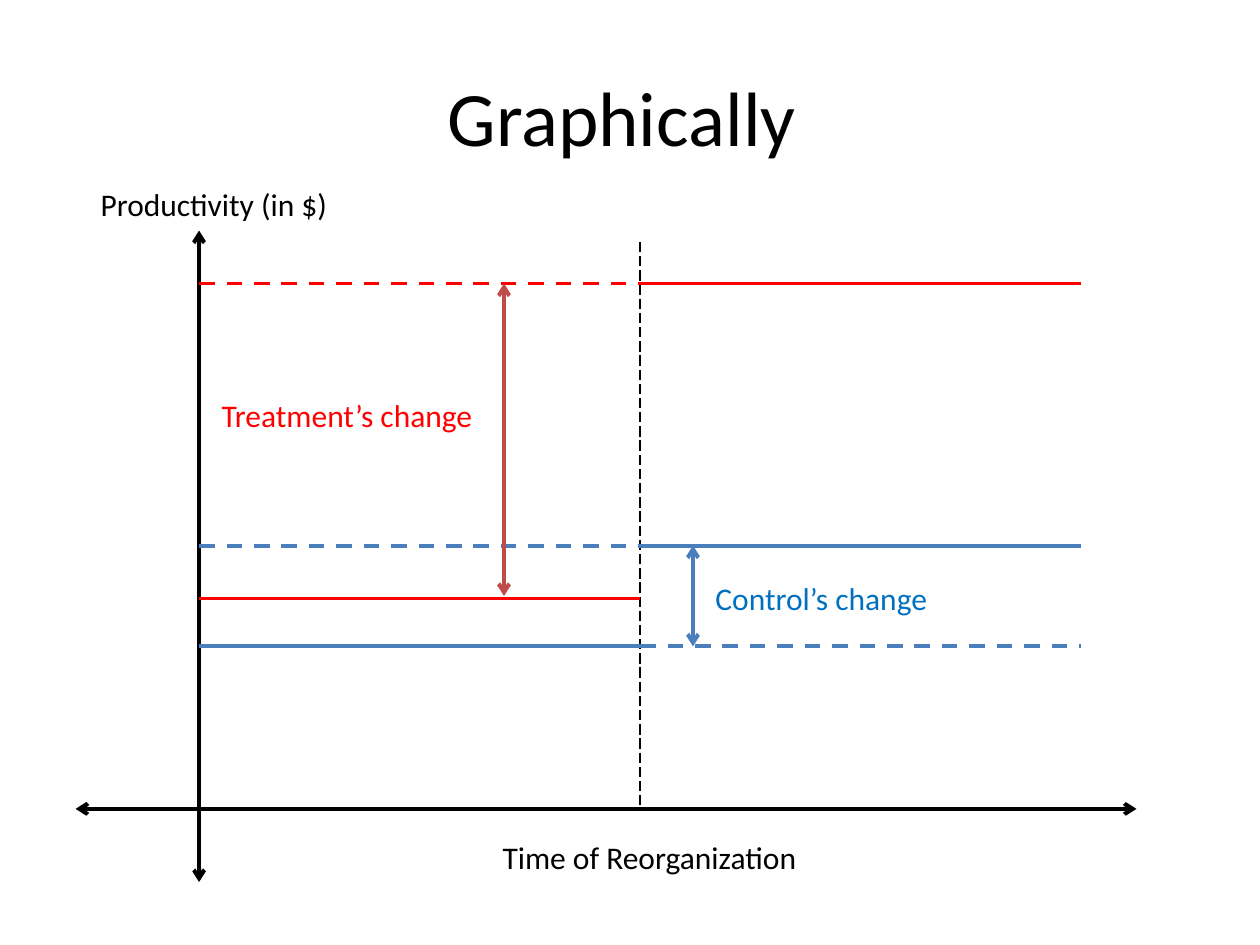
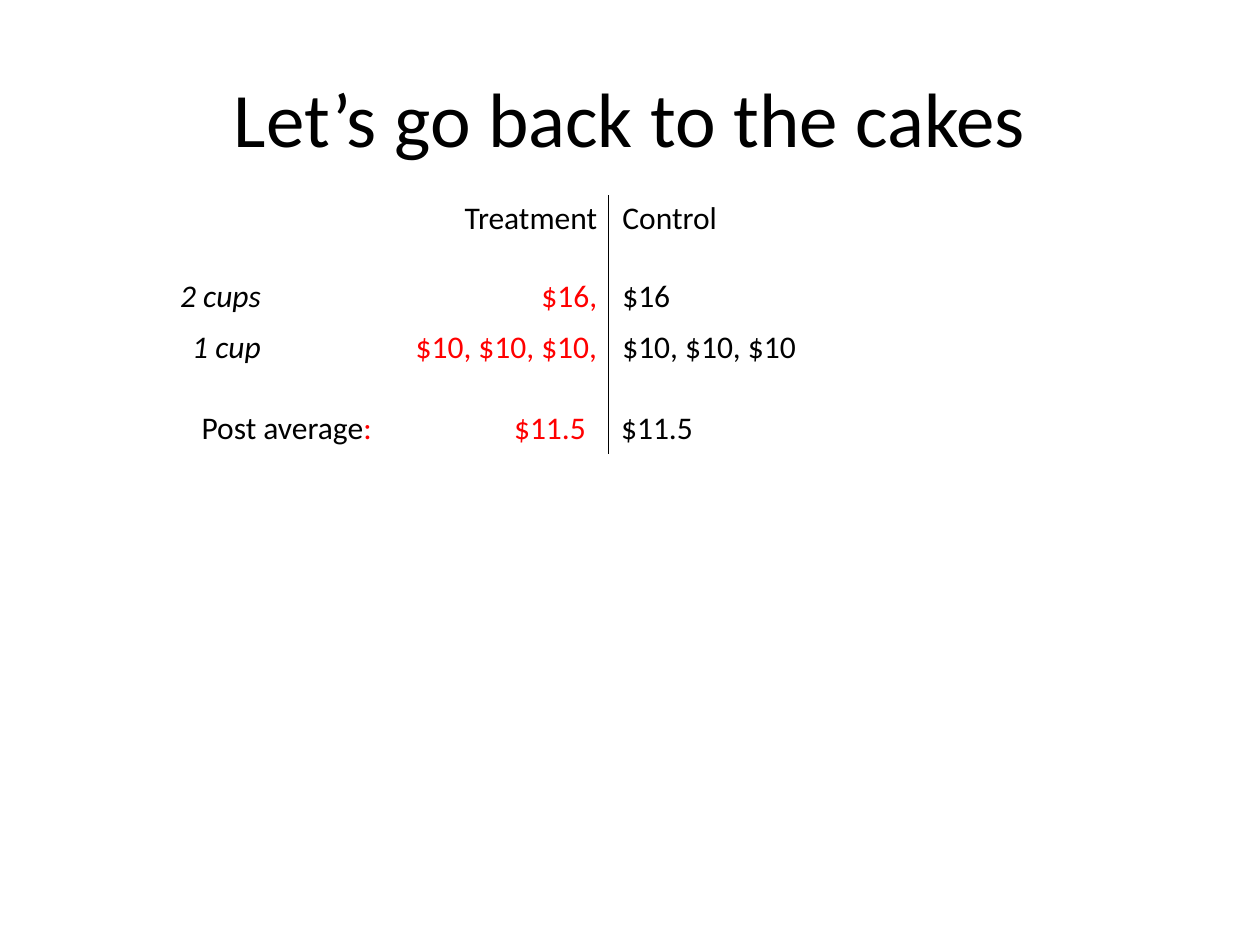
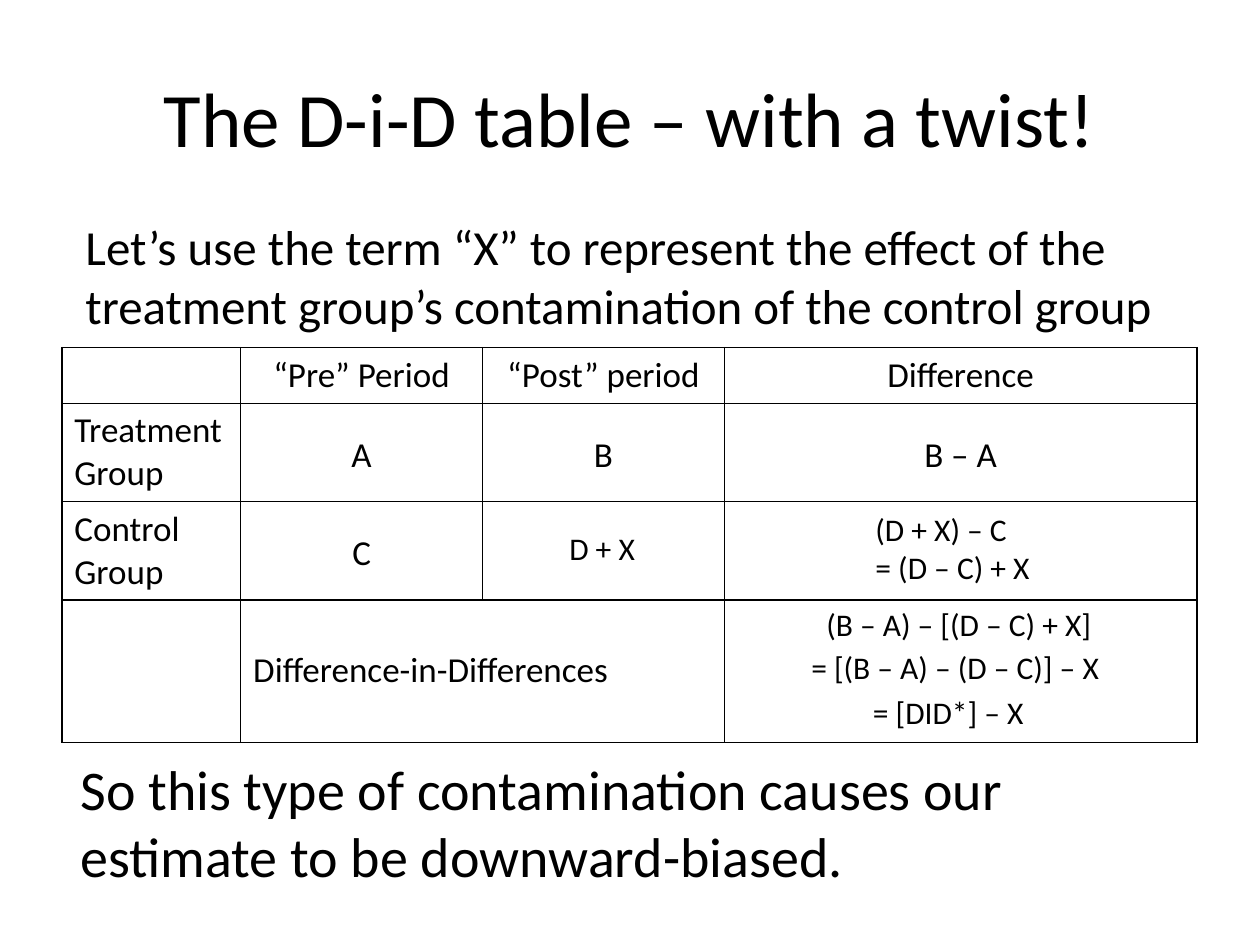
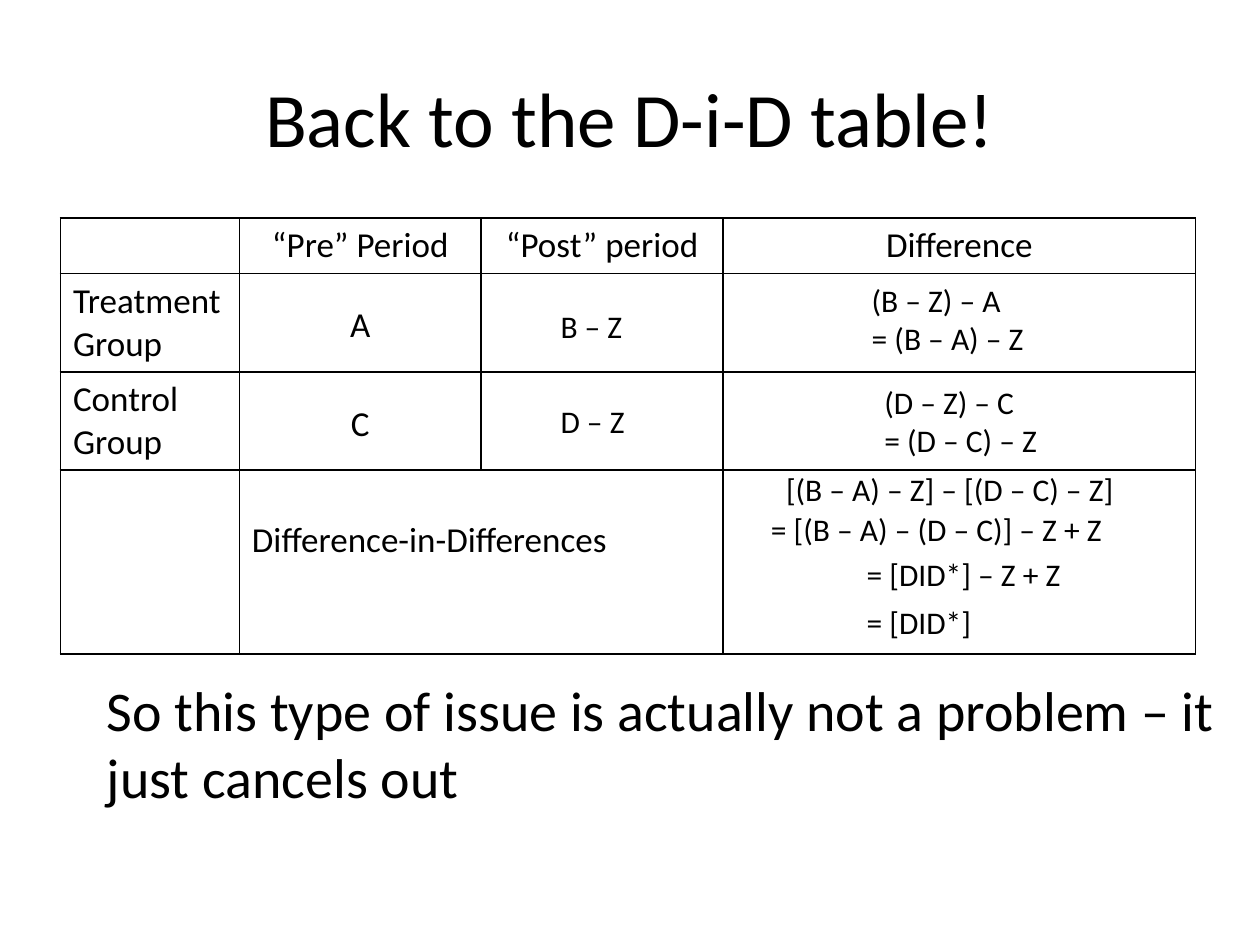
from lxml import etree
from pptx import Presentation
from pptx.dml.color import RGBColor
from pptx.enum.dml import MSO_LINE
from pptx.enum.shapes import MSO_CONNECTOR
from pptx.enum.text import MSO_ANCHOR, PP_ALIGN
from pptx.oxml.ns import qn
from pptx.util import Emu, Pt

PX = 9144  # 100 px to the inch
FONT = "Calibri"
BLACK = RGBColor(0x00, 0x00, 0x00)
RED = RGBColor(0xFF, 0x00, 0x00)
BLUE = RGBColor(0x4B, 0x7E, 0xBC)
LABEL_BLUE = RGBColor(0x00, 0x70, 0xC0)
BRICK = RGBColor(0xBF, 0x4C, 0x48)
LEFT, CENTER, RIGHT = PP_ALIGN.LEFT, PP_ALIGN.CENTER, PP_ALIGN.RIGHT
MIDDLE = MSO_ANCHOR.MIDDLE
DASH, LONG_DASH = MSO_LINE.DASH, MSO_LINE.LONG_DASH
STRAIGHT = MSO_CONNECTOR.STRAIGHT
PLAIN_TABLE = "{2D5ABB26-0587-4C30-8999-92F81FD0307C}"
TITLE_BOX = (50, 30, 900, 125)
NARROW = 150  # text boxes up to this width do not wrap

# Slide 1: the before/after graph
AXIS_X, AXIS_Y = 158, 642
REORG_X, END_X = 508, 858
TREATED_PRE, TREATED_POST = 475, 225
CONTROL_PRE, CONTROL_POST = 513, 433
AXES = [(AXIS_X, 183, AXIS_X, 700), (902, AXIS_Y, 60, AXIS_Y)]
LEVELS = [  # from, to, height, colour, dash
    (AXIS_X, REORG_X, CONTROL_PRE, BLUE, None),
    (AXIS_X, REORG_X, TREATED_PRE, RED, None),
    (REORG_X, END_X, TREATED_POST, RED, None),
    (REORG_X, END_X, CONTROL_POST, BLUE, None),
    (AXIS_X, REORG_X, TREATED_POST, RED, DASH),
    (AXIS_X, REORG_X, CONTROL_POST, BLUE, DASH),
    (REORG_X, END_X, CONTROL_PRE, BLUE, DASH),
]
CHANGES = [(550, CONTROL_PRE, CONTROL_POST, BLUE),
           (400, TREATED_PRE - 2, TREATED_POST, BRICK)]
GRAPH_LABELS = [
    ("Time of Reorganization", (389, 660, 267, 40), BLACK),
    ("Control’s change", (558, 455, 308, 40), LABEL_BLUE),
    ("Treatment’s change", (166, 309, 328, 40), RED),
    ("Productivity (in $)", (70, 142, 267, 40), BLACK),
]

# Slide 2: left, top, row height, column widths, rows of (text, alignment, colour)
CAKE_TABLES = [
    (167, 153, 43, (317, 350),
     [[("Treatment", RIGHT, BLACK), ("Control", LEFT, BLACK)]]),
    (100, 215, 41, (117, 267, 350),
     [[("2 cups", RIGHT, BLACK), ("$16,", RIGHT, RED), ("$16", LEFT, BLACK)],
      [("1 cup", RIGHT, BLACK), ("$10, $10, $10,", RIGHT, RED),
       ("$10, $10, $10", LEFT, BLACK)]]),
]
AVERAGE_TABLE = (150, 320, 41, (333, 333))
AVERAGE_LABEL, TREATED_AVERAGE, CONTROL_AVERAGE = "Post average", ":\t$11.5", "$11.5"
AVERAGE_TAB = 248
CAKE_DIVIDER = (483, 360, 483, 155)

# Slides 3 and 4: the D-i-D tables
DID_COLUMNS = (142, 192, 192, 375)
DID_ROWS = (44, 78, 78)
DID_HEADER = ["", "“Pre” Period", "“Post” period", "Difference"]
DID_SLIDES = [
    {
        "title": "The D-i-D table – with a twist!",
        "place": (49, 276), "last_row": 113,
        "body": [["Treatment\nGroup", "A", "B", "B – A"],
                 ["Control\nGroup", "C", "", ""]],
        "formulas": [
            ("D + X", (442, 415, 73, 40)),
            ("(D + X) – C\n= (D – C) + X", (685, 400, 150, 71)),
            ("(B – A) – [(D – C) + X]", (646, 475, 242, 40)),
            ("= [(B – A) – (D – C)] – X", (634, 509, 311, 40)),
            ("= [DID*] – X", (683, 545, 164, 40)),
        ],
        "remarks": [
            ("Let’s use the term “X” to represent the effect of the treatment "
             "group’s contamination of the control group", (58, 167, 892, 104), 28),
            ("So this type of contamination causes our estimate to be "
             "downward-biased.", (54, 594, 900, 118), 32),
        ],
    },
    {
        "title": "Back to the D-i-D table!",
        "place": (48, 173), "last_row": 146,
        "body": [["Treatment\nGroup", "A", "", ""],
                 ["Control\nGroup", "C", "", ""]],
        "formulas": [
            ("B – Z", (435, 239, 72, 40)),
            ("D – Z", (435, 314, 72, 40)),
            ("(B – Z) – A\n= (B – A) – Z", (682, 218, 150, 71)),
            ("(D – Z) – C\n= (D – C) – Z", (692, 299, 150, 71)),
            ("[(B – A) – Z] – [(D – C) – Z]", (614, 368, 287, 40)),
            ("= [(B – A) – (D – C)] – Z + Z", (602, 400, 311, 40)),
            ("= [DID*] – Z + Z", (678, 436, 214, 40)),
            ("= [DID*]", (678, 474, 214, 40)),
        ],
        "remarks": [
            ("So this type of issue is actually not a problem – it just "
             "cancels out", (75, 531, 900, 118), 32),
        ],
    },
]


def px(*lengths):
    return [Emu(length * PX) for length in lengths]


def style_run(run, size, color, italic=False):
    run.font.name, run.font.size = FONT, Pt(size)
    run.font.color.rgb = color
    run.font.italic = italic


def write(frame, text, size, color=BLACK, align=LEFT, italic=False):
    frame.text = text
    for paragraph in frame.paragraphs:
        paragraph.alignment = align
        for run in paragraph.runs:
            style_run(run, size, color, italic)


def add_titled_slide(prs, title, box=TITLE_BOX):
    slide = prs.slides.add_slide(prs.slide_layouts[5])
    heading = slide.shapes.title
    heading.left, heading.top, heading.width, heading.height = px(*box)
    write(heading.text_frame, title, 44, align=CENTER)
    heading.text_frame.vertical_anchor = MIDDLE
    return slide


def add_text(slide, text, box, size=18, color=BLACK):
    frame = slide.shapes.add_textbox(*px(*box)).text_frame
    frame.word_wrap = box[2] > NARROW
    write(frame, text, size, color)


def add_line(slide, ends, color=BLACK, weight=2.25, dash=None, arrows=False):
    connector = slide.shapes.add_connector(STRAIGHT, *px(*ends))
    connector.line.color.rgb = color
    connector.line.width = Pt(weight)
    if dash:
        connector.line.dash_style = dash
    properties = connector._element.spPr
    if arrows:
        for end in ("a:headEnd", "a:tailEnd"):
            etree.SubElement(properties.find(qn("a:ln")), qn(end), type="arrow")
    etree.SubElement(properties, qn("a:effectLst"))


def add_plain_table(slide, left, top, widths, heights):
    frame = slide.shapes.add_table(len(heights), len(widths),
                                   *px(left, top, sum(widths), sum(heights)))
    table = frame.table
    table.first_row = table.horz_banding = False
    table._tbl.tblPr.find(qn("a:tableStyleId")).text = PLAIN_TABLE
    for column, width in zip(table.columns, px(*widths)):
        column.width = width
    for row, height in zip(table.rows, px(*heights)):
        row.height = height
    for cell in table.iter_cells():
        cell.fill.background()
    return table


def add_borders(cell):
    properties = cell._tc.get_or_add_tcPr()
    for place, side in enumerate(("a:lnL", "a:lnR", "a:lnT", "a:lnB")):
        border = etree.Element(qn(side), w=str(Pt(1)))
        fill = etree.SubElement(border, qn("a:solidFill"))
        etree.SubElement(fill, qn("a:srgbClr"), val=str(BLACK))
        properties.insert(place, border)


def build_graph(prs):
    slide = add_titled_slide(prs, "Graphically", (110, 50, 767, 84))
    for axis in AXES:
        add_line(slide, axis, arrows=True)
    add_line(slide, (REORG_X, 192, REORG_X, AXIS_Y), weight=0.75, dash=LONG_DASH)
    for start, end, y, color, dash in LEVELS:
        add_line(slide, (start, y, end, y), color, dash=dash)
    for x, before, after, color in CHANGES:
        add_line(slide, (x, before, x, after), color, arrows=True)
    for text, box, color in GRAPH_LABELS:
        add_text(slide, text, box, color=color)


def build_cakes(prs):
    slide = add_titled_slide(prs, "Let’s go back to the cakes")
    for left, top, height, widths, rows in CAKE_TABLES:
        table = add_plain_table(slide, left, top, widths, [height] * len(rows))
        for r, row in enumerate(rows):
            for c, (text, align, color) in enumerate(row):
                write(table.cell(r, c).text_frame, text, 18, color, align,
                      italic=text.endswith(("cup", "cups")))

    # Averages: the treatment figure sits on a tab stop
    left, top, height, widths = AVERAGE_TABLE
    averages = add_plain_table(slide, left, top, widths, [height])
    treated = averages.cell(0, 0).text_frame
    write(treated, AVERAGE_LABEL, 18)
    paragraph = treated.paragraphs[0]
    figure = paragraph.add_run()
    figure.text = TREATED_AVERAGE
    style_run(figure, 18, RED)
    stops = etree.SubElement(paragraph._p.get_or_add_pPr(), qn("a:tabLst"))
    etree.SubElement(stops, qn("a:tab"), pos=str(AVERAGE_TAB * PX), algn="l")
    write(averages.cell(0, 1).text_frame, CONTROL_AVERAGE, 18)
    add_line(slide, CAKE_DIVIDER, weight=0.75)


def build_did(prs, content):
    slide = add_titled_slide(prs, content["title"])
    table = add_plain_table(slide, *content["place"], DID_COLUMNS,
                            [*DID_ROWS, content["last_row"]])
    for cell in table.iter_cells():
        add_borders(cell)
    for r, row in enumerate([DID_HEADER, *content["body"]]):
        for c, text in enumerate(row):
            if not text:
                continue
            cell = table.cell(r, c)
            write(cell.text_frame, text, 20, align=CENTER if c else LEFT)
            if r and c:
                cell.vertical_anchor = MIDDLE
                cell.margin_left = cell.margin_right = Emu(7 * PX)
                cell.margin_top = cell.margin_bottom = 0
                cell.text_frame.paragraphs[0].line_spacing = 1.15

    # Bottom row: the label spans both periods, one line down
    result = table.cell(3, 1)
    result.merge(table.cell(3, 2))
    write(result.text_frame, "Difference-in-Differences", 20)
    result.margin_top = Emu(39 * PX)

    for text, box in content["formulas"]:
        add_text(slide, text, box)
    for text, box, size in content["remarks"]:
        add_text(slide, text, box, size)


def main():
    prs = Presentation()
    prs.slide_width, prs.slide_height = px(1000, 750)
    build_graph(prs)
    build_cakes(prs)
    for content in DID_SLIDES:
        build_did(prs, content)
    prs.save("out.pptx")


if __name__ == "__main__":
    main()
